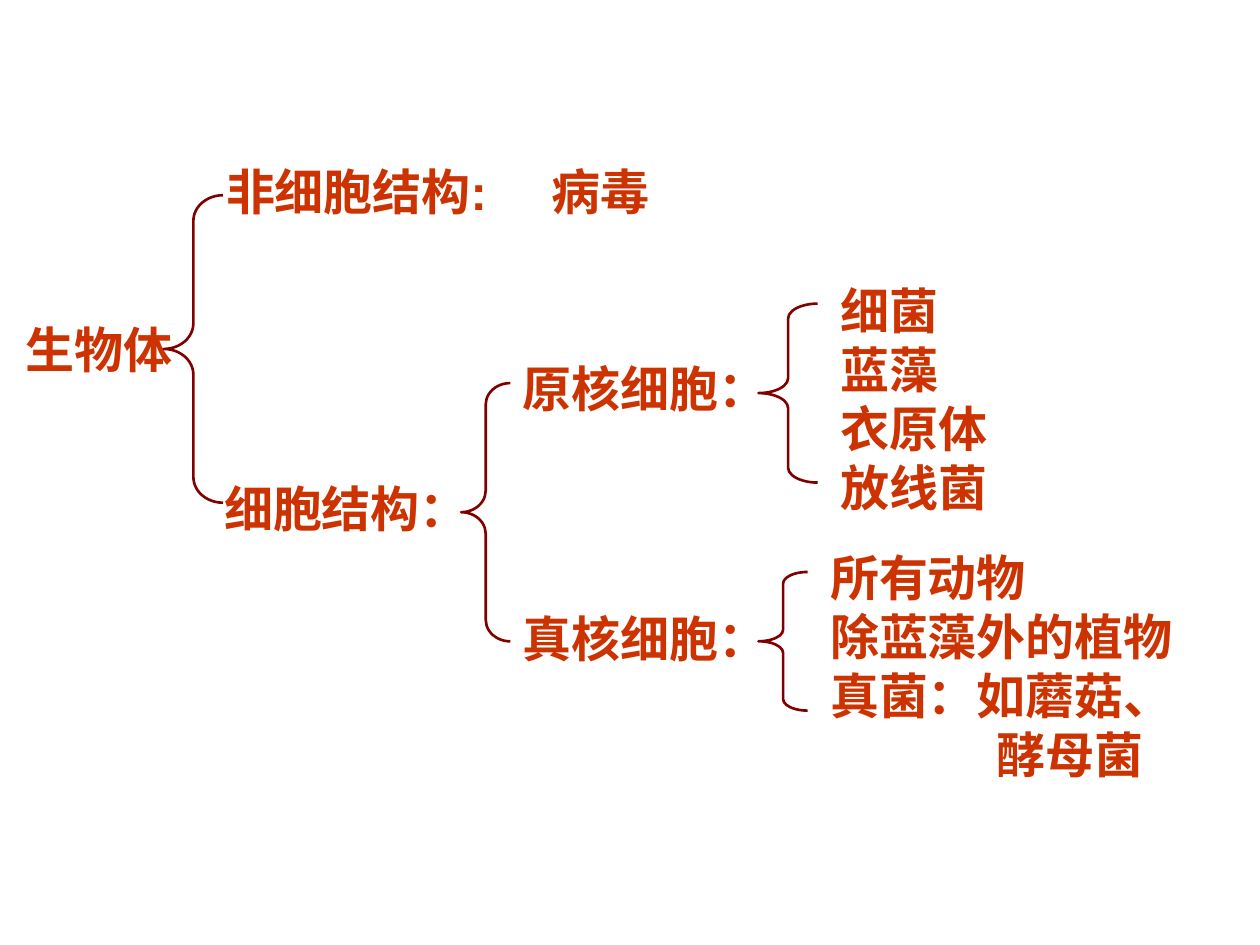
from pptx import Presentation
from pptx.dml.color import RGBColor
from pptx.enum.shapes import MSO_SHAPE
from pptx.enum.text import MSO_AUTO_SIZE, PP_ALIGN
from pptx.util import Inches, Pt

LEFT_BRACE = MSO_SHAPE.LEFT_BRACE
FIT_SHAPE = MSO_AUTO_SIZE.SHAPE_TO_FIT_TEXT
LEFT, CENTER = PP_ALIGN.LEFT, PP_ALIGN.CENTER
TEXT_COLOR, BRACE_COLOR = "CC3300", "800000"
BLANK_LAYOUT = 6

# Text and box (left, top, width, height) of each single-line term
TERMS = [
    ("生物体", (-0.2, 2.49, 1.97, 0.57)),
    ("非细胞结构:", (1.61, 1.23, 2.44, 0.57)),
    ("细胞结构：", (1.53, 3.75, 2.44, 0.57)),
    ("病毒", (3.9, 1.23, 1.73, 0.57)),
    ("原核细胞：", (3.9, 2.8, 2.44, 0.57)),
    ("真核细胞：", (3.74, 4.78, 2.76, 0.57)),
]
PROKARYOTES = ["细菌", "蓝藻", "衣原体", "放线菌"]
EUKARYOTES = ["所有动物", "除蓝藻外的植物", "真菌：如蘑菇、", "酵母菌"]
BRACES = [
    (1.3, 1.55, 0.47, 2.44),
    (3.66, 3.04, 0.39, 2.05),
    (6.02, 4.54, 0.39, 1.1),
    (6.02, 2.41, 0.47, 1.42),
]


def color(hex_string):
    return RGBColor.from_string(hex_string)


def add_text(slide, box, lines, alignment):
    """Place lines of text, one paragraph each, and return the paragraphs."""
    shape = slide.shapes.add_textbox(*map(Inches, box))
    frame = shape.text_frame
    frame.word_wrap = True
    frame.auto_size = FIT_SHAPE
    frame.text = "\n".join(lines)
    for paragraph in frame.paragraphs:
        paragraph.alignment = alignment
        paragraph.font.name = "Arial"
        paragraph.font.size = Pt(28)
        paragraph.font.bold = True
        paragraph.font.color.rgb = color(TEXT_COLOR)
    return frame.paragraphs


def add_brace(slide, box):
    """Place a brace whose curves are each a twelfth of its height."""
    shape = slide.shapes.add_shape(LEFT_BRACE, *map(Inches, box))
    width, height = box[2:]
    shape.adjustments[0] = height / 12 / width
    shape.shadow.inherit = False
    shape.fill.background()
    shape.line.color.rgb = color(BRACE_COLOR)
    shape.line.width = Pt(1.5)


def main():
    presentation = Presentation()
    presentation.slide_width = Inches(10)
    presentation.slide_height = Inches(7.5)
    slide = presentation.slides.add_slide(presentation.slide_layouts[BLANK_LAYOUT])

    # Terms of the classification
    for term, box in TERMS:
        add_text(slide, box, [term], CENTER)

    # Examples, with the last fungus indented under the first
    add_text(slide, (6.57, 2.18, 2.68, 1.97), PROKARYOTES, LEFT)
    paragraphs = add_text(slide, (6.49, 4.3, 2.99, 1.97), EUKARYOTES, LEFT)
    properties = paragraphs[-1]._p.get_or_add_pPr()
    properties.set("marL", str(Inches(1.32)))
    properties.set("indent", "0")

    # Braces between the levels
    for box in BRACES:
        add_brace(slide, box)

    presentation.save("out.pptx")


if __name__ == "__main__":
    main()
